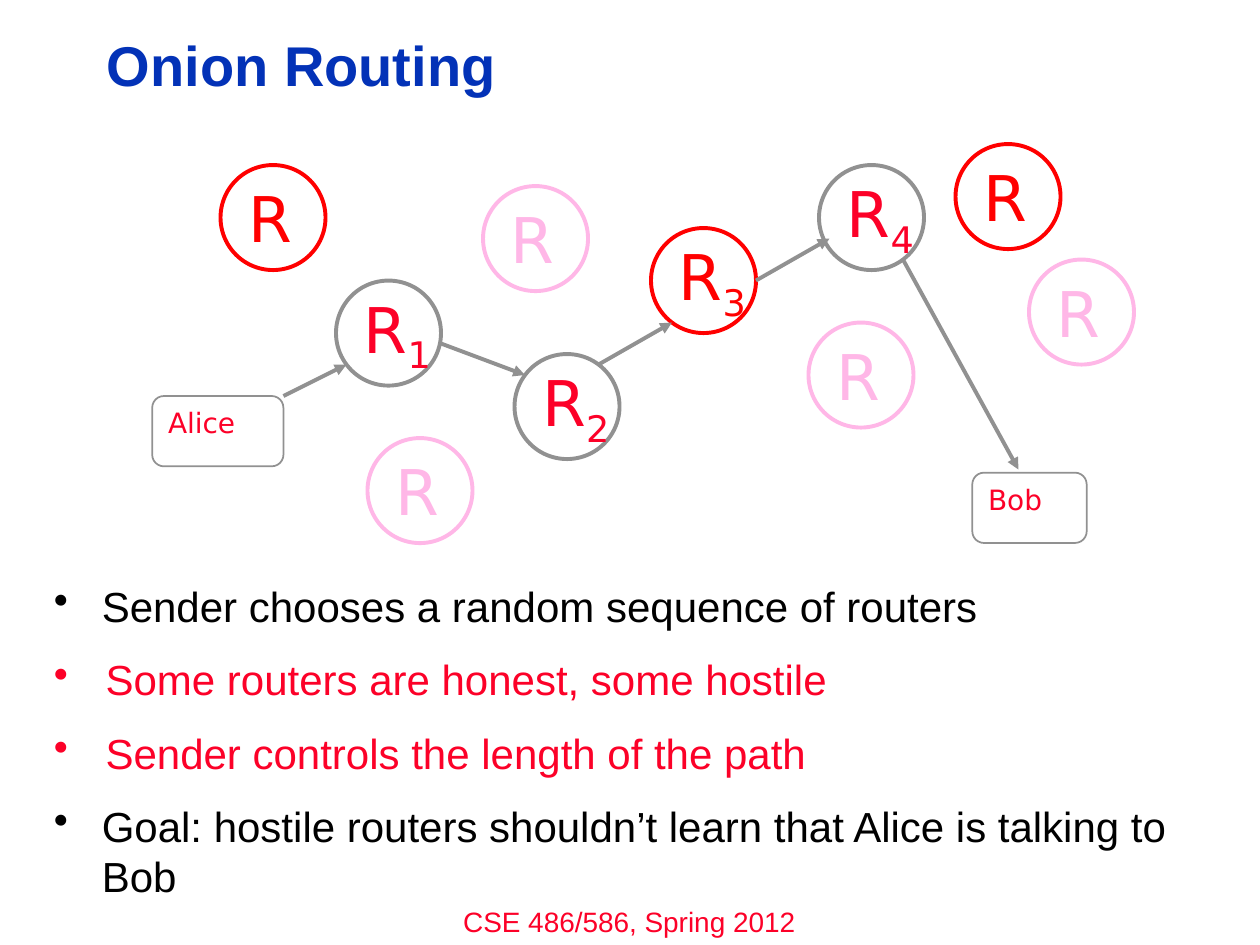
from lxml.etree import SubElement
from pptx import Presentation
from pptx.dml.color import RGBColor
from pptx.enum.shapes import MSO_CONNECTOR, MSO_SHAPE
from pptx.enum.text import MSO_ANCHOR, PP_ALIGN
from pptx.oxml.ns import qn
from pptx.util import Inches, Pt

RED, CRIMSON, PINK, GREY = "FF0000", "FC0128", "FFB7E7", "919191"
BLACK, BLUE = "000000", "0332B7"
CELL = 1 / 12  # side of a grid cell, in inches
TOP = 0.06     # where grid row 0 starts
ROUTER = 10    # router diameter, in cells

# column, row, number on the route, outline, text colour
ROUTERS = [
    (46, 17, "", PINK, PINK),
    (78, 15, "4", GREY, CRIMSON),
    (32, 26, "1", GREY, CRIMSON),
    (49, 33, "2", GREY, CRIMSON),
    (91, 13, "", RED, RED),
    (98, 24, "", PINK, PINK),
    (62, 21, "3", RED, RED),
    (21, 15, "", RED, RED),
    (35, 41, "", PINK, PINK),
    (77, 30, "", PINK, PINK),
]
# name, column, row, columns wide
PEOPLE = [("Alice", 14.5, 37, 12.5), ("Bob", 92.6, 44.3, 10.9)]
# start column and row, end column and row
HOPS = [
    (27, 37, 33, 34),
    (42, 32, 50, 35),
    (57, 34, 64, 30),
    (72, 26, 79, 22),
    (86, 24, 97, 44),
]
# text, colour, hanging indent in inches
POINTS = [
    ("Sender chooses a random sequence of routers", BLACK, 0.38),
    ("Some routers are honest, some hostile", CRIMSON, 0.41),
    ("Sender controls the length of the path", CRIMSON, 0.41),
    ("Goal: hostile routers shouldn’t learn that Alice is talking to Bob",
     BLACK, 0.38),
]


def rgb(color):
    return RGBColor.from_string(color)


def grid_x(column):
    return Inches(column * CELL)


def grid_y(row):
    return Inches(TOP + row * CELL)


def style(paragraph, size, color, face="Arial", bold=False):
    font = paragraph.font
    font.name, font.size, font.bold = face, Pt(size), bold
    font.color.rgb = rgb(color)


def add_node(slide, preset, column, row, columns, rows, outline, weight):
    """Add an unfilled outline on the grid and return it with its paragraph."""
    node = slide.shapes.add_shape(preset, grid_x(column), grid_y(row),
                                  grid_x(columns), Inches(rows * CELL))
    node.shadow.inherit = False
    node.fill.background()
    node.line.color.rgb = rgb(outline)
    node.line.width = Pt(weight)
    node.text_frame.word_wrap = False
    paragraph = node.text_frame.paragraphs[0]
    paragraph.alignment = PP_ALIGN.LEFT
    return node, paragraph


def add_router(slide, column, row, number, outline, color):
    node, label = add_node(slide, MSO_SHAPE.OVAL, column, row,
                           ROUTER, ROUTER, outline, 2.25)
    node.text_frame.vertical_anchor = MSO_ANCHOR.MIDDLE
    style(label, 36, color, "DejaVu Sans")
    label.add_run().text = "R"
    if number:
        subscript = label.add_run()
        subscript.text = number
        subscript.font._element.set("baseline", "-25000")


def add_person(slide, name, column, row, columns):
    node, label = add_node(slide, MSO_SHAPE.ROUNDED_RECTANGLE, column, row,
                           columns, 6.7, GREY, 1)
    node.text_frame.vertical_anchor = MSO_ANCHOR.TOP
    label.text = name
    style(label, 16, CRIMSON, "DejaVu Sans")


def add_hop(slide, column, row, end_column, end_row):
    hop = slide.shapes.add_connector(
        MSO_CONNECTOR.STRAIGHT, grid_x(column), grid_y(row),
        grid_x(end_column), grid_y(end_row))
    hop.line.color.rgb = rgb(GREY)
    hop.line.width = Pt(2.25)
    SubElement(hop.line._get_or_add_ln(), qn("a:tailEnd"), type="triangle")
    SubElement(hop._element.spPr, qn("a:effectLst"))


def add_text(slide, left, top, width, height):
    box = slide.shapes.add_textbox(*map(Inches, (left, top, width, height)))
    box.text_frame.word_wrap = True
    return box.text_frame


def add_points(slide):
    frame = add_text(slide, 0.33, 4.56, 9.44, 1.92)
    for index, (text, color, indent) in enumerate(POINTS):
        point = frame.add_paragraph() if index else frame.paragraphs[0]
        point.text = text
        if index:
            point.space_before = Pt(13)
        properties = point._p.get_or_add_pPr()
        properties.set("marL", str(Inches(indent)))
        properties.set("indent", str(-Inches(indent)))
        SubElement(properties, qn("a:buChar"), char="•")
        style(point, 24, color)


def main():
    deck = Presentation()
    deck.slide_width, deck.slide_height = Inches(10), Inches(7.5)
    slide = deck.slides.add_slide(deck.slide_layouts[6])

    footer = add_text(slide, 3.33, 7.13, 3.33, 0.37).paragraphs[0]
    footer.text = "CSE 486/586, Spring 2012"
    footer.alignment = PP_ALIGN.CENTER
    style(footer, 16, CRIMSON)

    for router in ROUTERS:
        add_router(slide, *router)
    for person in PEOPLE:
        add_person(slide, *person)
    for hop in HOPS:
        add_hop(slide, *hop)
    add_points(slide)

    title = add_text(slide, 0.75, 0.25, 7.98, 0.81).paragraphs[0]
    title.text = "Onion Routing"
    title.line_spacing = 0.9
    style(title, 32, BLUE, bold=True)

    deck.save("out.pptx")


if __name__ == "__main__":
    main()
